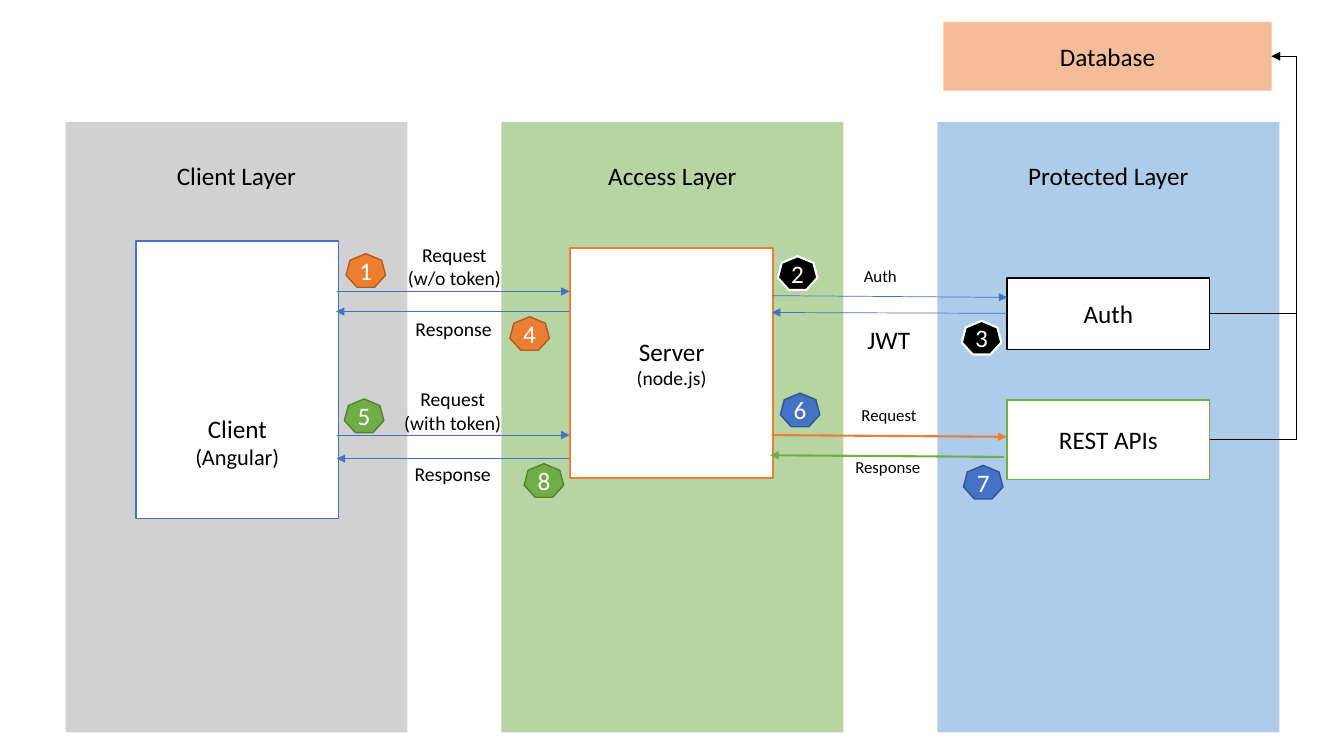
from pptx import Presentation
from pptx.dml.color import RGBColor
from pptx.enum.shapes import MSO_CONNECTOR, MSO_SHAPE
from pptx.enum.text import MSO_ANCHOR, PP_ALIGN
from pptx.oxml.ns import qn
from pptx.util import Inches, Pt
from lxml.etree import SubElement

COLS, ROWS = 160, 90
WIDE, HIGH = Inches(13.333), Inches(7.5)
BLACK, WHITE = "000000", "FFFFFF"
BLUE, GREEN, ORANGE = "4472C4", "70AD47", "ED7D31"
RIGHT = 3


def grid(x, y):
    """Turn columns and rows into slide lengths."""
    return round(x * WIDE / COLS), round(y * HIGH / ROWS)


def assign(obj, values):
    """Set each attribute of obj from a dict."""
    for name, value in values.items():
        setattr(obj, name, value)


def paint(fmt, color, alpha=None):
    """Give a fill a solid colour, with an optional opacity in percent."""
    fmt.solid()
    fmt.fore_color.rgb = RGBColor.from_string(color)
    if alpha:
        node = fmt.fore_color._xFill.find(qn("a:srgbClr"))
        SubElement(node, qn("a:alpha")).set("val", str(alpha * 1000))


def write(shape, lines, color=BLACK, **frame):
    """Fill a shape with centred lines of (text, size)."""
    assign(shape.text_frame, {"word_wrap": True, **frame})
    for i, (text, size) in enumerate(lines):
        paras = shape.text_frame
        para = paras.add_paragraph() if i else paras.paragraphs[0]
        para.alignment = PP_ALIGN.CENTER
        run = para.add_run()
        run.text = text
        assign(run.font, {"size": Pt(size), "name": "Calibri"})
        paint(run.font.fill, color)


def block(slide, at, fill, line=None, width=1, alpha=None, kind=MSO_SHAPE.RECTANGLE):
    """Draw a filled preset shape, outlined if a line colour is given."""
    shape = slide.shapes.add_shape(kind, *grid(*at[:2]), *grid(*at[2:]))
    shape.shadow.inherit = False
    paint(shape.fill, fill, alpha)
    if line:
        paint(shape.line.fill, line)
        shape.line.width = Pt(width)
    else:
        shape.line.fill.background()
    return shape


def label(slide, at, size, *texts):
    """Add a text box of lines in one size."""
    box = slide.shapes.add_textbox(*grid(*at[:2]), *grid(*at[2:]))
    write(box, [(text, size) for text in texts])


def badge(slide, x, y, num, fill, line, width=1):
    """Add a numbered heptagon for one step of the flow."""
    shape = block(slide, (x, y, 4.7, 4), fill, line, width, kind=MSO_SHAPE.HEPTAGON)
    sides = ("left", "right", "top", "bottom")
    write(shape, [(num, 18)], WHITE, vertical_anchor=MSO_ANCHOR.MIDDLE,
          **{f"margin_{side}": 0 for side in sides})


def arrow(slide, start, end, color, width, kind=MSO_CONNECTOR.STRAIGHT):
    """Draw a connector with a triangle at its end."""
    wire = slide.shapes.add_connector(kind, *grid(*start), *grid(*end))
    paint(wire.line.fill, color)
    wire.line.width = Pt(width)
    SubElement(wire.line._get_or_add_ln(), qn("a:tailEnd")).set("type", "triangle")
    SubElement(wire._element.spPr, qn("a:effectLst"))
    return wire


def link(slide, source, target):
    """Join the right sides of two boxes with an elbow that passes both."""
    wire = arrow(slide, (0, 0), (1, 1), BLACK, 1, MSO_CONNECTOR.ELBOW)
    wire.begin_connect(source, RIGHT)
    wire.end_connect(target, RIGHT)
    geom = wire._element.spPr.find(qn("a:prstGeom"))
    guide = SubElement(geom.find(qn("a:avLst")), qn("a:gd"))
    guide.set("name", "adj1")
    guide.set("fmla", "val 139900")


def main():
    """Build the slide and save it."""
    deck = Presentation()
    assign(deck, {"slide_width": WIDE, "slide_height": HIGH})
    slide = deck.slides.add_slide(deck.slide_layouts[6])

    layers = (("Client Layer", "A5A5A5"), ("Access Layer", GREEN),
              ("Protected Layer", "5B9BD5"))
    for i, (name, fill) in enumerate(layers):
        left = 7.8 + 51.9 * i
        block(slide, (left, 14.5, 40.7, 72.7), fill, alpha=50)
        label(slide, (left + 4.7, 18.5, 31.3, 4.8), 18, name)

    middle = {"vertical_anchor": MSO_ANCHOR.MIDDLE}
    client = block(slide, (16.2, 28.7, 24.1, 33), WHITE, BLUE)
    write(client, [("Client", 18), ("(Angular)", 16)],
          vertical_anchor=MSO_ANCHOR.BOTTOM, margin_bottom=grid(0, 5.7)[1])
    server = block(slide, (67.9, 29.5, 24.1, 27.4), WHITE, ORANGE, 1.5)
    write(server, [("Server", 18), ("(node.js)", 14)], **middle)
    auth = block(slide, (119.9, 33.1, 24.1, 8.5), WHITE, BLACK)
    write(auth, [("Auth", 18)], **middle)
    rest = block(slide, (119.9, 47.6, 24.1, 9.5), WHITE, GREEN)
    write(rest, [("REST APIs", 18)], **middle)
    store = block(slide, (112.3, 2.6, 39.1, 8.2), ORANGE, alpha=50)
    write(store, [("Database", 18)], **middle)

    for start, end, color, width in (
        ((40.1, 34.7), (67.8, 34.7), BLUE, 0.5),
        ((67.7, 37.1), (40, 37.1), BLUE, 0.5),
        ((40.1, 51.8), (67.8, 51.8), BLUE, 0.5),
        ((67.8, 54.6), (40.1, 54.6), BLUE, 0.5),
        ((91.9, 35.2), (119.9, 35.4), BLUE, 0.5),
        ((119.9, 37.3), (91.9, 37.2), BLUE, 0.5),
        ((91.9, 51.8), (119.8, 52), ORANGE, 1.5),
        ((119.5, 54.4), (91.7, 54.2), GREEN, 1.5),
    ):
        arrow(slide, start, end, color, width)
    for box in (rest, auth):
        link(slide, box, store)

    for at, size, *texts in (
        ((46.4, 28.3, 15.4, 6.8), 14, "Request", "(w/o token)"),
        ((47, 37.1, 14, 4.1), 14, "Response"),
        ((45.5, 45.5, 16.8, 6.8), 14, "Request", "(with token)"),
        ((46.9, 54.4, 14, 4.1), 14, "Response"),
        ((97.7, 31.1, 14.2, 3.6), 12, "Auth"),
        ((96.5, 38, 18.6, 4.8), 18, "JWT"),
        ((100.2, 47.6, 11.3, 3.6), 12, "Request"),
        ((100.1, 53.8, 11.2, 3.6), 12, "Response"),
    ):
        label(slide, at, size, *texts)

    amber, dark = (ORANGE, "AF5C24"), (BLACK, WHITE, 1.5)
    leaf, sea = (GREEN, "538035"), (BLUE, "325491")
    steps = ((41.2, 30.2, amber), (92.6, 30.5, dark), (114.5, 38.2, dark),
             (60.7, 37.7, amber), (41, 47.5, leaf), (92.9, 46.8, sea),
             (114.7, 55.4, sea), (62.4, 55.2, leaf))
    for num, (x, y, style) in enumerate(steps, 1):
        badge(slide, x, y, str(num), *style)

    deck.save("out.pptx")


if __name__ == "__main__":
    main()
